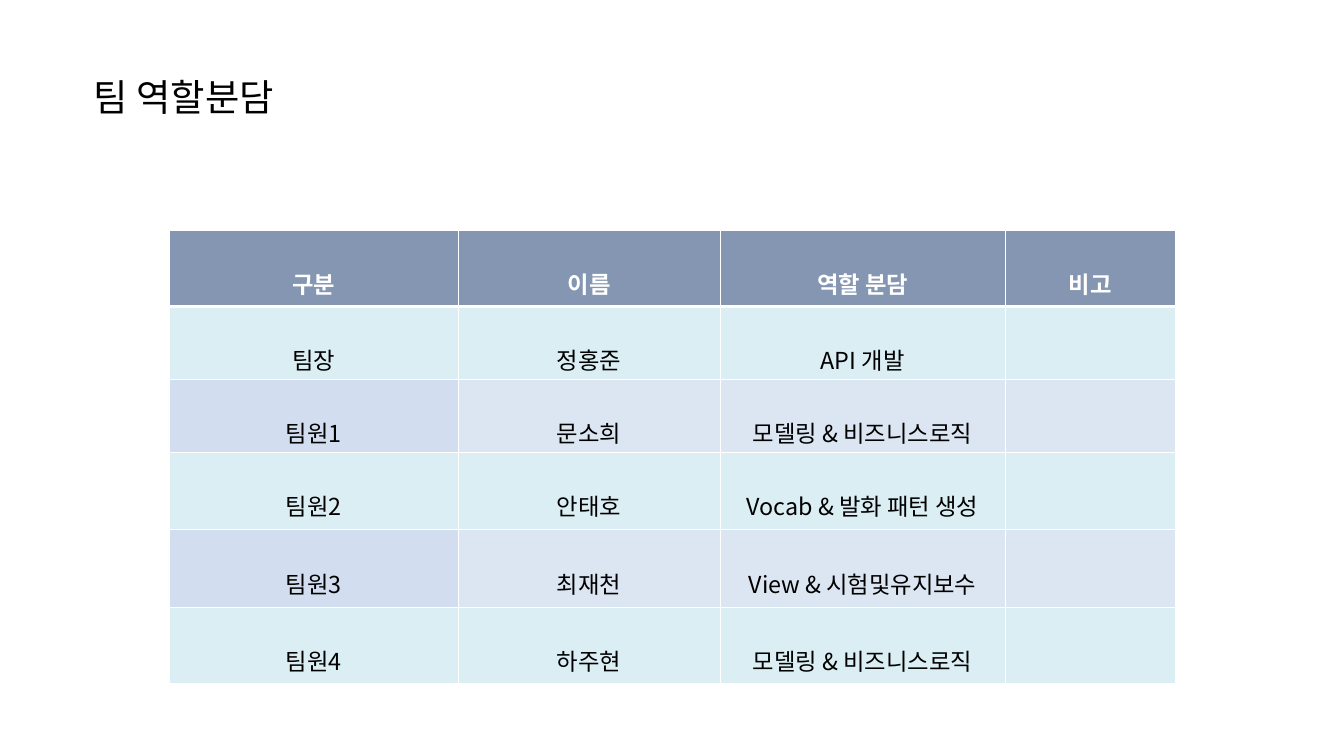
from lxml import etree
from pptx import Presentation
from pptx.dml.color import RGBColor
from pptx.enum.text import MSO_AUTO_SIZE, PP_ALIGN
from pptx.oxml.ns import qn
from pptx.util import Pt

CENTER = PP_ALIGN.CENTER
GROW = MSO_AUTO_SIZE.SHAPE_TO_FIT_TEXT

WHITE, BLACK = "FFFFFF", "000000"
HEAD, MINT, BLUE, LILAC = "8496B1", "DBEEF4", "DCE6F2", "D2DEEF"
SANS = "Noto Sans CJK KR"

COLS = [308.9, 280.8, 305.3, 182.2]
ROWS = [81.4, 75.6, 78.5, 82.8, 82.8, 82.1]
ROLES = [
    ["구분", "이름", "역할 분담", "비고"],
    ["팀장", "정홍준", "API 개발", ""],
    ["팀원1", "문소희", "모델링 & 비즈니스로직", ""],
    ["팀원2", "안태호", "Vocab & 발화 패턴 생성", ""],
    ["팀원3", "최재천", "View & 시험및유지보수", ""],
    ["팀원4", "하주현", "모델링 & 비즈니스로직", ""],
]


def color(code):
    """Turn a hex string into a colour."""
    return RGBColor.from_string(code)


def add_run(para, text, size, face, code, bold=False):
    """Add one styled run to a paragraph."""
    run = para.add_run()
    run.text = text
    font = run.font
    font.size, font.name, font.bold = Pt(size), face, bold
    font.color.rgb = color(code)
    return run


def add_edge(cell, side, width):
    """Draw a white border on one side of a cell."""
    props = cell._tc.get_or_add_tcPr()
    line = etree.SubElement(props, qn(f"a:ln{side}"), w=str(Pt(width)))
    fill = etree.SubElement(line, qn("a:solidFill"))
    etree.SubElement(fill, qn("a:srgbClr"), val=WHITE)


def tint(row, col):
    """Choose the fill of a cell from its place in the table."""
    if row == 0:
        return HEAD
    if row % 2:
        return MINT
    return BLUE if col else LILAC


def fill_cell(cell, text, row, col):
    """Style one table cell and write its text."""
    for side in "LRTB":
        thick = (row, side) in ((0, "B"), (1, "T"))
        add_edge(cell, side, 3 if thick else 1)
    cell.fill.solid()
    cell.fill.fore_color.rgb = color(tint(row, col))
    cell.margin_left = cell.margin_right = Pt(5.8)
    cell.margin_top = cell.margin_bottom = Pt(2.9)
    if text:
        para = cell.text_frame.paragraphs[0]
        para.alignment, para.line_spacing = CENTER, 2.0
        code = BLACK if row else WHITE
        run = add_run(para, text, 25, SANS, code, row == 0)
        etree.SubElement(run.font._element, qn("a:ea"), typeface=SANS)


def add_title(slide, left, top, width, height):
    """Place the slide title."""
    box = slide.shapes.add_textbox(Pt(left), Pt(top), Pt(width), Pt(height))
    frame = box.text_frame
    frame.word_wrap, frame.auto_size = True, GROW
    add_run(frame.paragraphs[0], "팀 역할분담", 40, "Calibri", BLACK)


def add_roles(slide, left, top):
    """Place the table of team roles."""
    frame = slide.shapes.add_table(
        len(ROWS), len(COLS), Pt(left), Pt(top), Pt(sum(COLS)), Pt(sum(ROWS))
    )
    table = frame.table
    for col, width in enumerate(COLS):
        table.columns[col].width = Pt(width)
    for row, height in enumerate(ROWS):
        table.rows[row].height = Pt(height)
        for col, text in enumerate(ROLES[row]):
            fill_cell(table.cell(row, col), text, row, col)


def main():
    """Build and save the slide."""
    deck = Presentation()
    deck.slide_width, deck.slide_height = Pt(1440), Pt(810)
    slide = deck.slides.add_slide(deck.slide_layouts[6])
    add_roles(slide, 181.8, 247)
    add_title(slide, 93.6, 75.6, 506, 54.7)
    deck.save("out.pptx")


if __name__ == "__main__":
    main()
